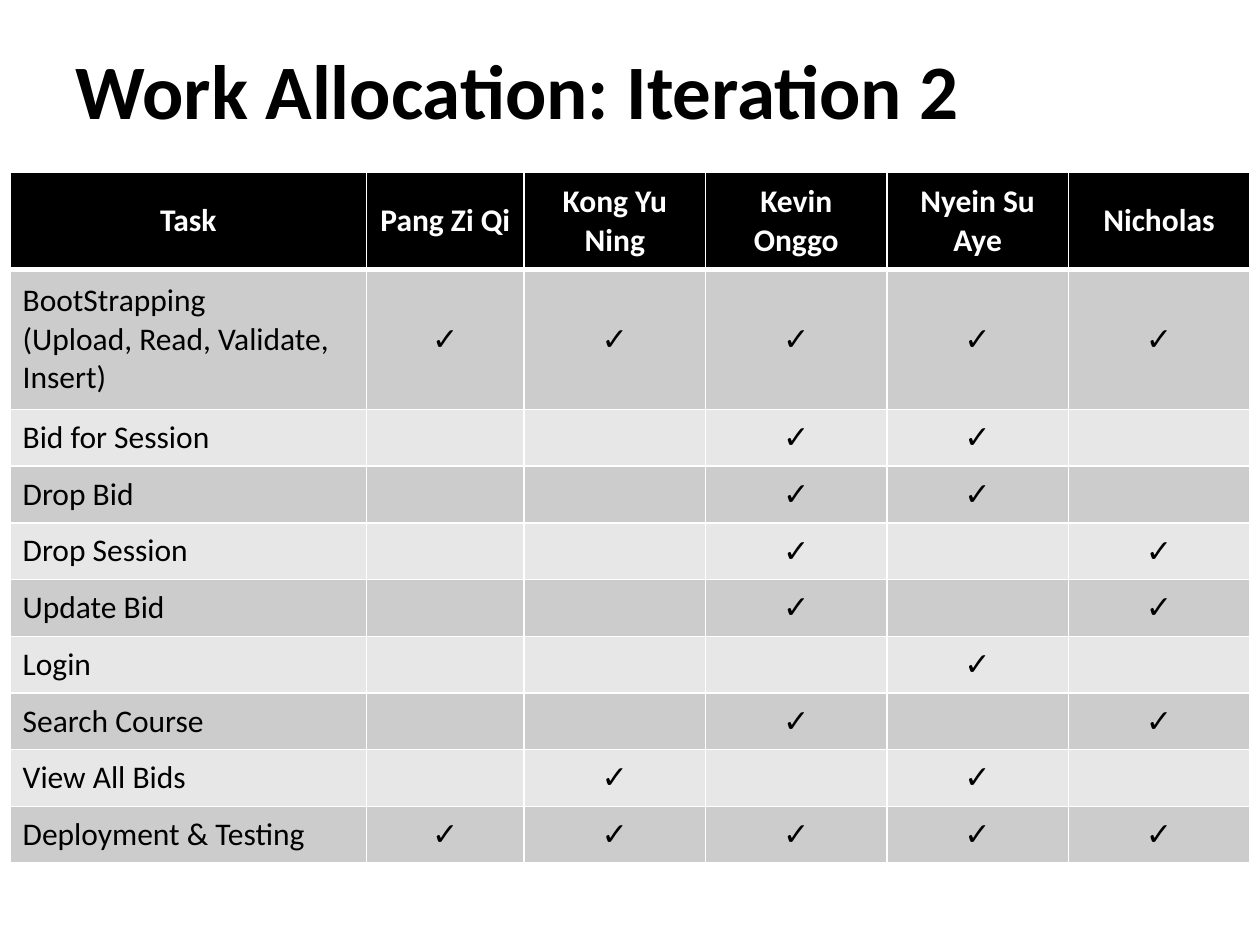
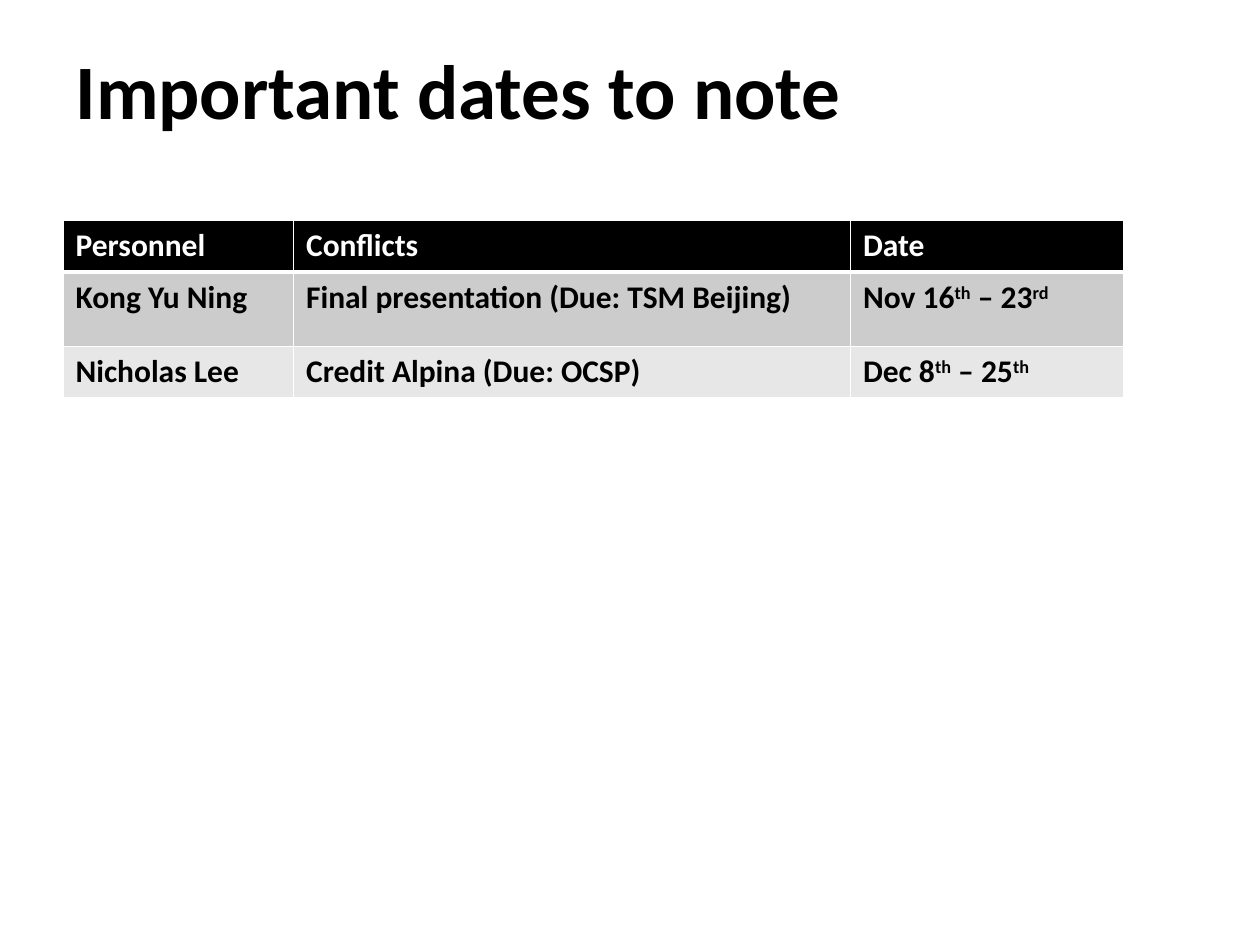
from lxml.etree import SubElement
from pptx import Presentation
from pptx.dml.color import RGBColor
from pptx.enum.text import MSO_ANCHOR, PP_ALIGN
from pptx.oxml.ns import qn
from pptx.util import Inches, Pt

BLACK = RGBColor(0x00, 0x00, 0x00)
WHITE = RGBColor(0xFF, 0xFF, 0xFF)
DARK_BAND = RGBColor(0xCC, 0xCC, 0xCC)
LIGHT_BAND = RGBColor(0xE7, 0xE7, 0xE7)
TITLE_ONLY = 5
TICK = "✓"

MEMBERS = ["Pang Zi Qi", "Kong Yu Ning", "Kevin Onggo", "Nyein Su Aye", "Nicholas"]
ALL_MEMBERS = range(len(MEMBERS))
PANG, KONG, KEVIN, NYEIN, NICHOLAS = ALL_MEMBERS
TASKS = [
    ("BootStrapping\n(Upload, Read, Validate, Insert)", ALL_MEMBERS),
    ("Bid for Session", [KEVIN, NYEIN]),
    ("Drop Bid", [KEVIN, NYEIN]),
    ("Drop Session", [KEVIN, NICHOLAS]),
    ("Update Bid", [KEVIN, NICHOLAS]),
    ("Login", [NYEIN]),
    ("Search Course", [KEVIN, NICHOLAS]),
    ("View All Bids", [KONG, NYEIN]),
    ("Deployment & Testing", ALL_MEMBERS),
]
# Text between carets is superscript.
CONFLICTS = [
    ["Personnel", "Conflicts", "Date"],
    ["Kong Yu Ning", "Final presentation (Due: TSM Beijing)", "Nov 16^th^ – 23^rd^"],
    ["Nicholas Lee", "Credit Alpina (Due: OCSP)", "Dec 8^th^ – 25^th^"],
]


class SlideBuilder:
    font = "Calibri"
    tick_font = "Arial"

    def __init__(self, deck):
        self.deck = deck
        self.page = None

    def start_page(self, title):
        self.page = self.deck.slides.add_slide(self.deck.slide_layouts[TITLE_ONLY])
        box = self.page.shapes.title
        box.left, box.top = Inches(0.5), Inches(0.08)
        box.width, box.height = Inches(9), Inches(1.25)
        box.text_frame.vertical_anchor = MSO_ANCHOR.MIDDLE
        para = box.text_frame.paragraphs[0]
        para.alignment = PP_ALIGN.LEFT
        self.add_text(para, title, 44, BLACK, bold=True)

    def add_text(self, para, text, size, color, bold):
        for index, piece in enumerate(text.split("^")):
            if not piece:
                continue
            span = para.add_run()
            span.text = piece
            span.font.name = self.tick_font if piece == TICK else self.font
            span.font.size = Pt(size)
            span.font.bold = bold
            span.font.color.rgb = color
            if index % 2:
                span.font._element.set("baseline", "30000")

    def border(self, cell, top, bottom):
        """Draw white cell edges; top and bottom are widths in points."""
        properties = cell._tc.get_or_add_tcPr()
        for edge, width in (("L", 1), ("R", 1), ("T", top), ("B", bottom)):
            line = SubElement(properties, qn(f"a:ln{edge}"), w=str(Pt(width)))
            fill = SubElement(line, qn("a:solidFill"))
            SubElement(fill, qn("a:srgbClr"), val=str(WHITE))

    def table(self, left, top, widths, heights, rows, bold_body=False, middle=False, centred=()):
        """Add a banded table; centred lists the (row, column) cells to centre."""
        frame = self.page.shapes.add_table(
            len(rows), len(widths), Inches(left), Inches(top),
            Inches(sum(widths)), Inches(sum(heights)))
        grid = frame.table
        for column, width in zip(grid.columns, widths):
            column.width = Inches(width)
        for row, height in zip(grid.rows, heights):
            row.height = Inches(height)

        for r, texts in enumerate(rows):
            header = r == 0
            background = BLACK if header else DARK_BAND if r % 2 else LIGHT_BAND
            for c, text in enumerate(texts):
                cell = grid.cell(r, c)
                self.border(cell, top=3 if r == 1 else 1, bottom=3 if header else 1)
                cell.fill.solid()
                cell.fill.fore_color.rgb = background
                if middle:
                    cell.vertical_anchor = MSO_ANCHOR.MIDDLE
                for index, line in enumerate(text.split("\n")):
                    content = cell.text_frame
                    para = content.add_paragraph() if index else content.paragraphs[0]
                    if (r, c) in centred:
                        para.alignment = PP_ALIGN.CENTER
                    self.add_text(para, line, 18, WHITE if header else BLACK, header or bold_body)


def add_work_allocation(builder):
    builder.start_page("Work Allocation: Iteration 2")
    rows = [["Task", *MEMBERS]]
    for task, owners in TASKS:
        rows.append([task] + [TICK if member in owners else "" for member in ALL_MEMBERS])
    centred = {(r, c) for r in range(len(rows)) for c in range(len(rows[0])) if r == 0 or c > 0}
    builder.table(0.08, 1.37, [2.83, 1.25] + [1.44] * 4, [0.77, 1.11] + [0.45] * 8,
                  rows, middle=True, centred=centred)


def add_important_dates(builder):
    builder.start_page("Important dates to note")
    builder.table(0.5, 1.75, [1.83, 4.42, 2.17], [0.41, 0.59, 0.41], CONFLICTS, bold_body=True)


def main():
    deck = Presentation()
    deck.slide_width, deck.slide_height = Inches(10), Inches(7.5)
    builder = SlideBuilder(deck)
    add_work_allocation(builder)
    add_important_dates(builder)
    deck.save("out.pptx")


if __name__ == "__main__":
    main()
